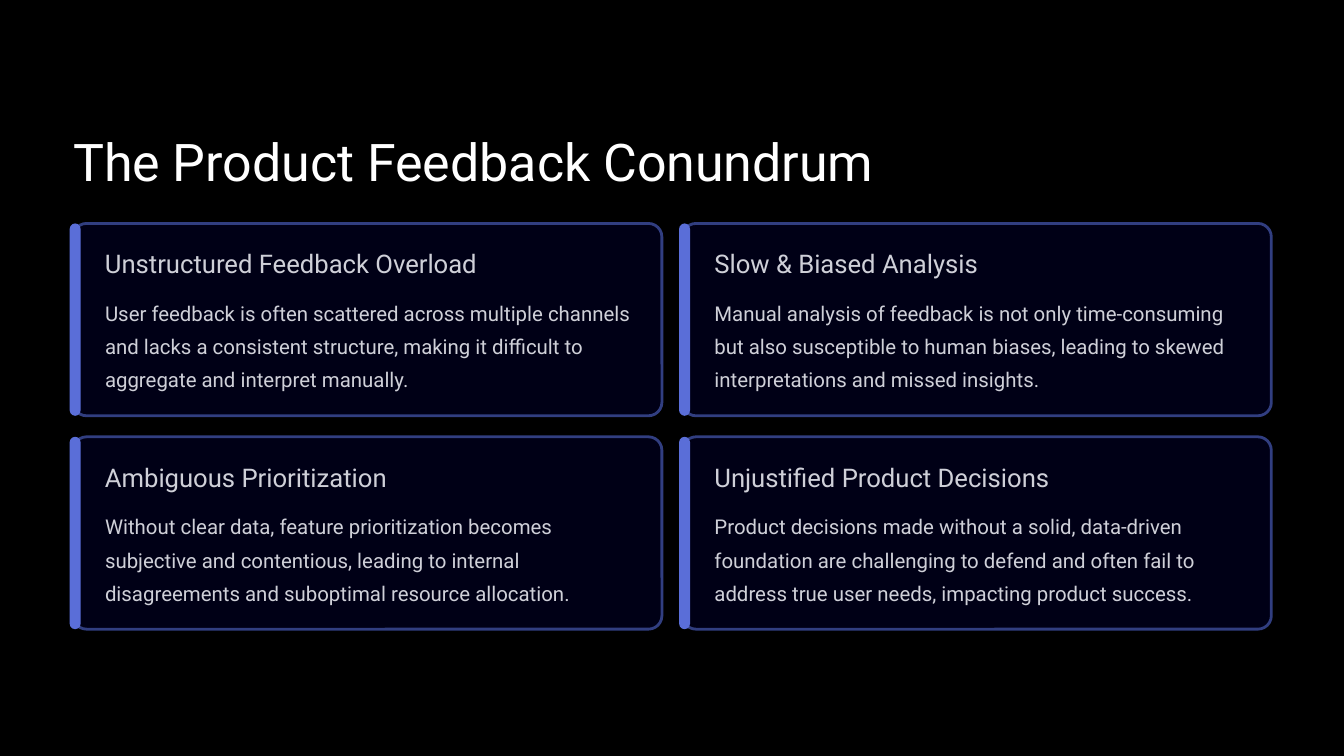
from dataclasses import dataclass

from lxml import etree
from pptx import Presentation
from pptx import util as u
from pptx.dml.color import RGBColor
from pptx.enum import shapes, text
from pptx.oxml.ns import qn

FONT = "Roboto"
WHITE, BODY_GREY = "FFFFFF", "CFD0D8"
CARD_FILL, CARD_LINE, ACCENT = "000018", "313E80", "5A6ED8"

# Card grid, in inches
LEFT, TOP = 0.87, 2.66
CARD_W, CARD_H = 7.01, 2.29
STEP_X, STEP_Y = 7.255, 2.54
COLUMNS = 2


@dataclass(frozen=True)
class TextStyle:
    size: float
    line_spacing: float
    color: str
    wrap: bool = False


@dataclass(frozen=True)
class Card:
    heading: str
    heading_width: float
    body: str


TITLE = TextStyle(44.5, 55.5, WHITE)
HEADING = TextStyle(22, 27.5, BODY_GREY)
BODY = TextStyle(17.5, 28.5, BODY_GREY, wrap=True)

CARDS = [
    Card("Unstructured Feedback Overload", 4.53,
         "User feedback is often scattered across multiple channels and lacks a "
         "consistent structure, making it difficult to aggregate and interpret manually."),
    Card("Slow & Biased Analysis", 3.22,
         "Manual analysis of feedback is not only time-consuming but also susceptible "
         "to human biases, leading to skewed interpretations and missed insights."),
    Card("Ambiguous Prioritization", 3.44,
         "Without clear data, feature prioritization becomes subjective and contentious, "
         "leading to internal disagreements and suboptimal resource allocation."),
    Card("Unjustified Product Decisions", 4.1,
         "Product decisions made without a solid, data-driven foundation are challenging "
         "to defend and often fail to address true user needs, impacting product success."),
]


def rgb(value: str) -> RGBColor:
    return RGBColor.from_string(value)


def add_text(slide, x: float, y: float, w: float, h: float,
             content: str, style: TextStyle) -> None:
    sp = slide.shapes.add_textbox(u.Inches(x), u.Inches(y), u.Inches(w), u.Inches(h))
    tf = sp.text_frame
    tf.margin_left = tf.margin_top = tf.margin_right = tf.margin_bottom = 0
    tf.word_wrap = style.wrap
    tf.vertical_anchor = text.MSO_ANCHOR.TOP
    tf.text = content
    p = tf.paragraphs[0]
    p.line_spacing = u.Pt(style.line_spacing)
    r = p.runs[0]
    r.font.name = FONT
    r.font.size = u.Pt(style.size)
    r.font.color.rgb = rgb(style.color)


def add_round_rect(slide, x: float, y: float, w: float, h: float,
                   radius: float, fill: str):
    sp = slide.shapes.add_shape(shapes.MSO_SHAPE.ROUNDED_RECTANGLE,
                                u.Inches(x), u.Inches(y), u.Inches(w), u.Inches(h))
    sp.adjustments[0] = radius
    sp.shadow.inherit = False
    sp.fill.solid()
    sp.fill.fore_color.rgb = rgb(fill)
    sp.line.fill.background()
    return sp


def set_opacity(sp, percent: int) -> None:
    color = sp._element.spPr.find(qn("a:solidFill")).find(qn("a:srgbClr"))
    etree.SubElement(color, qn("a:alpha")).set("val", str(percent * 1000))


def add_card(slide, x: float, y: float, card: Card) -> None:
    # Panel with outline
    panel = add_round_rect(slide, x, y, CARD_W, CARD_H, 0.07, CARD_FILL)
    set_opacity(panel, 95)
    panel.line.color.rgb = rgb(CARD_LINE)
    panel.line.width = u.Pt(2.4)
    # Accent bar on the left edge
    add_round_rect(slide, x - 0.04, y, 0.13, CARD_H, 0.5, ACCENT)
    # Heading and body
    add_text(slide, x + 0.38, y + 0.28, card.heading_width, 0.39, card.heading, HEADING)
    add_text(slide, x + 0.38, y + 0.82, 6.35, 1.19, card.body, BODY)


def main() -> None:
    prs = Presentation()
    prs.slide_width, prs.slide_height = u.Inches(16), u.Inches(9)
    slide = prs.slides.add_slide(prs.slide_layouts[6])
    slide.background.fill.solid()
    slide.background.fill.fore_color.rgb = rgb("000000")

    # Title
    add_text(slide, LEFT, 1.51, 9.62, 0.78, "The Product Feedback Conundrum", TITLE)

    # Cards, row by row
    for i, card in enumerate(CARDS):
        row, column = divmod(i, COLUMNS)
        add_card(slide, LEFT + column * STEP_X, TOP + row * STEP_Y, card)

    prs.save("out.pptx")


if __name__ == "__main__":
    main()
